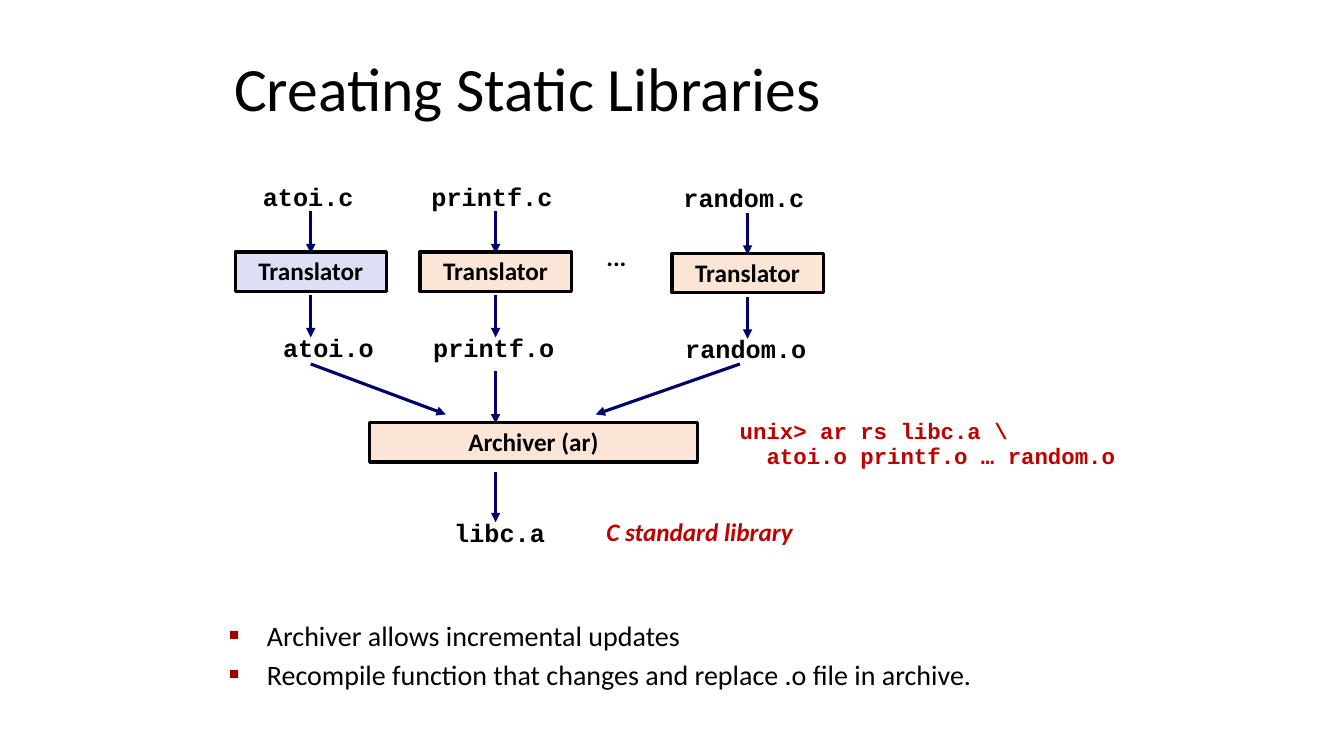
import pptx
import pptx.util
import pptx.dml.color
import pptx.enum.shapes
import pptx.enum.text
import pptx.oxml
import pptx.oxml.ns
from dataclasses import dataclass

Pt = pptx.util.Pt
ALIGN = pptx.enum.text.PP_ALIGN
ANCHOR = pptx.enum.text.MSO_ANCHOR


@dataclass(frozen=True)
class Theme:
    sans: str = "Calibri"
    mono: str = "Courier New"
    black: str = "000000"
    red: str = "C00000"
    bullet: str = "990000"
    arrow: str = "000066"
    lilac: str = "DEDFF5"
    peach: str = "FBE5D6"
    title_size: int = 44
    bullet_size: int = 20
    label_size: int = 18
    command_size: int = 16
    line_width: float = 2.24
    mono_spacing: float = 0.94
    sans_spacing: float = 0.98


theme = Theme()

TITLE = "Creating Static Libraries"
MODULES = [
    {"name": "atoi", "axis": 222, "drop": 0, "fill": theme.lilac, "source_shift": -1.7, "object_shift": 12.7},
    {"name": "printf", "axis": 354, "drop": 0, "fill": theme.peach, "source_shift": -2.5, "object_shift": -1.2},
    {"name": "random", "axis": 534, "drop": 1, "fill": theme.peach, "source_shift": -2.5, "object_shift": -1.2},
]
COMMAND = [("unix> ar rs libc.a \\", 0), ("atoi.o printf.o … random.o", 2)]
BULLETS = [
    "Archiver allows incremental updates",
    "Recompile function that changes and replace .o file in archive.",
]
ARCHIVE_ARROWS = [
    ((222, 260), (318.5, 296)),
    ((354, 265), (354, 302.5)),
    ((528.5, 260), (425.5, 296)),
    ((354, 337), (354, 373)),
]
BOX_HEIGHT = 28
TRANSLATOR_WIDTH = 108
INSET = 7.2
MONO_ADVANCE = 0.6


def color(value):
    return pptx.dml.color.RGBColor.from_string(value)


def add_run(paragraph, text, size, font=theme.sans, fill=theme.black, bold=True, italic=False):
    run = paragraph.add_run()
    run.text = text
    run.font.name = font
    run.font.size = Pt(size)
    run.font.bold = bold
    run.font.italic = italic
    run.font.color.rgb = color(fill)


def add_text_box(left, top, width, height, wrap=False):
    shape = slide.shapes.add_textbox(Pt(left), Pt(top), Pt(width), Pt(height))
    shape.text_frame.word_wrap = wrap
    return shape.text_frame


def add_paragraph(frame, index):
    return frame.paragraphs[0] if index == 0 else frame.add_paragraph()


def add_file_label(text, center, top):
    width = len(text) * theme.label_size * MONO_ADVANCE + 2 * INSET
    paragraph = add_text_box(center - width / 2, top, width, BOX_HEIGHT).paragraphs[0]
    paragraph.line_spacing = theme.mono_spacing
    add_run(paragraph, text, theme.label_size, theme.mono)


def add_sans_label(text, left, top, width, **style):
    paragraph = add_text_box(left, top, width, 29).paragraphs[0]
    paragraph.line_spacing = theme.sans_spacing
    add_run(paragraph, text, theme.label_size, **style)


def add_box(text, left, top, width, fill):
    shape = slide.shapes.add_shape(
        pptx.enum.shapes.MSO_SHAPE.RECTANGLE, Pt(left), Pt(top), Pt(width), Pt(BOX_HEIGHT))
    shape.shadow.inherit = False
    shape.fill.solid()
    shape.fill.fore_color.rgb = color(fill)
    shape.line.color.rgb = color(theme.black)
    shape.line.width = Pt(theme.line_width)
    shape.text_frame.vertical_anchor = ANCHOR.TOP
    paragraph = shape.text_frame.paragraphs[0]
    paragraph.alignment = ALIGN.CENTER
    paragraph.line_spacing = theme.sans_spacing
    add_run(paragraph, text, theme.label_size)


def add_arrow(start, end):
    connector = slide.shapes.add_connector(
        pptx.enum.shapes.MSO_CONNECTOR.STRAIGHT, *(Pt(value) for value in (*start, *end)))
    connector.line.color.rgb = color(theme.arrow)
    connector.line.width = Pt(theme.line_width)
    head = pptx.oxml.parse_xml(f'<a:tailEnd {pptx.oxml.ns.nsdecls("a")} type="triangle"/>')
    connector.line._get_or_add_ln().append(head)
    effects = pptx.oxml.parse_xml(f'<a:effectLst {pptx.oxml.ns.nsdecls("a")}/>')
    connector._element.spPr.append(effects)


def indent(paragraph, margin, first_line=0):
    properties = paragraph._p.get_or_add_pPr()
    properties.set("marL", str(int(Pt(margin))))
    properties.set("indent", str(int(Pt(first_line))))
    return properties


def add_bullet(paragraph):
    properties = indent(paragraph, 27, -27)
    for content in (
        f'buClr {{}}><a:srgbClr val="{theme.bullet}"/></a:buClr>',
        'buSzPct {} val="60000"/>',
        'buFont {} typeface="Arial"/>',
        'buChar {} char="■"/>',
    ):
        properties.append(pptx.oxml.parse_xml("<a:" + content.format(pptx.oxml.ns.nsdecls("a"))))


presentation = pptx.Presentation()
presentation.slide_width = Pt(960)
presentation.slide_height = Pt(540)
slide = presentation.slides.add_slide(presentation.slide_layouts[5])

title = slide.shapes.title
title.left, title.top, title.width, title.height = Pt(160), Pt(34.5), Pt(686), Pt(62)
title.text_frame.vertical_anchor = ANCHOR.MIDDLE
title_paragraph = title.text_frame.paragraphs[0]
title_paragraph.alignment = ALIGN.LEFT
title_paragraph.line_spacing = 0.9
add_run(title_paragraph, TITLE, theme.title_size, bold=False)

for module in MODULES:
    axis, drop = module["axis"], module["drop"]
    add_box("Translator", axis - TRANSLATOR_WIDTH / 2, 180 + drop, TRANSLATOR_WIDTH, module["fill"])
    add_file_label(module["name"] + ".c", axis + module["source_shift"], 127.4 + drop)
    add_file_label(module["name"] + ".o", axis + module["object_shift"], 235.4 + drop)
    for top in (151, 211):
        add_arrow((axis, top + drop), (axis, top + 30 + drop))

add_sans_label("...", 426, 170, 29)
add_box("Archiver (ar)", 264, 302, 234, theme.peach)
for start, end in ARCHIVE_ARROWS:
    add_arrow(start, end)
add_file_label("libc.a", 357, 368)
add_sans_label("C standard library", 426, 366.5, 234, fill=theme.red, italic=True)

command_frame = add_text_box(521.3, 296, 286.5, 44)
for index, (text, columns) in enumerate(COMMAND):
    paragraph = add_paragraph(command_frame, index)
    paragraph.line_spacing = theme.mono_spacing
    indent(paragraph, columns * theme.command_size * MONO_ADVANCE)
    add_run(paragraph, text, theme.command_size, theme.mono, theme.red)

bullet_frame = add_text_box(156.5, 438, 654.5, 84, wrap=True)
for index, text in enumerate(BULLETS):
    paragraph = add_paragraph(bullet_frame, index)
    paragraph.space_before = Pt(4)
    add_bullet(paragraph)
    add_run(paragraph, text, theme.bullet_size, bold=False)

presentation.save("out.pptx")
